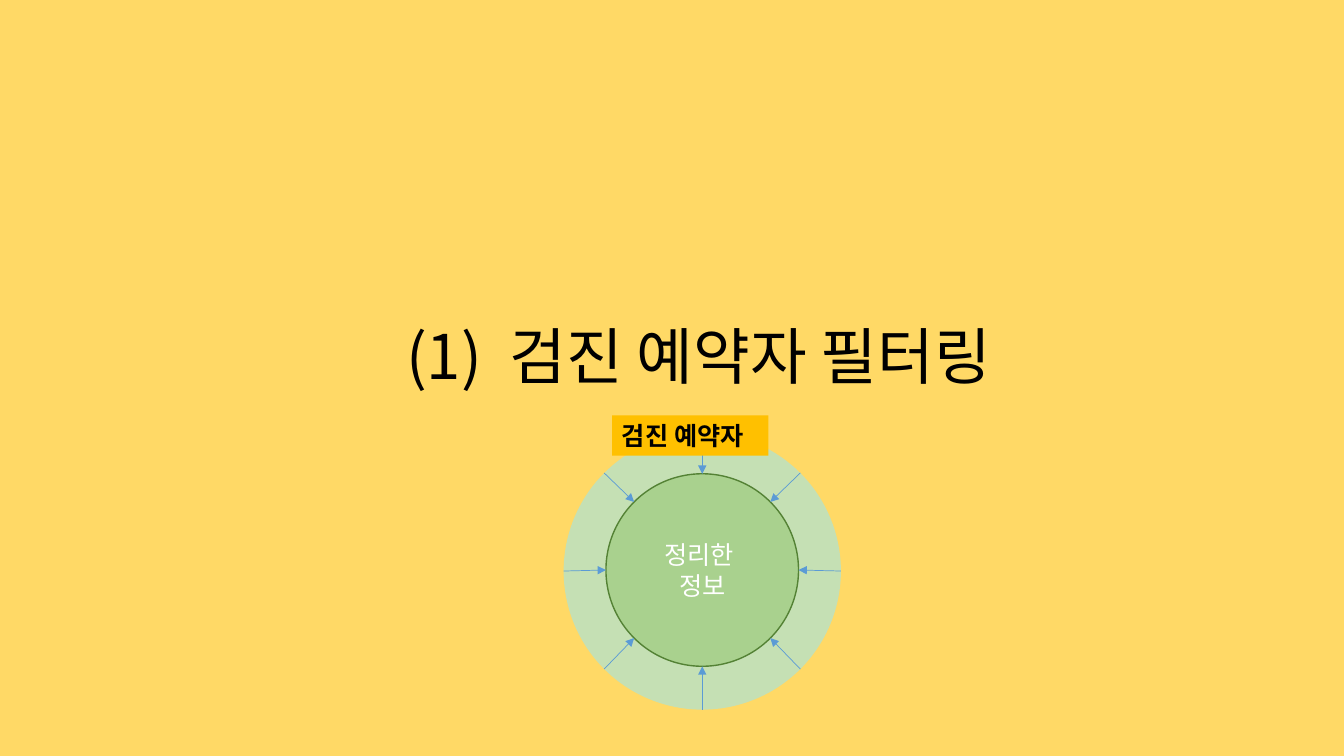
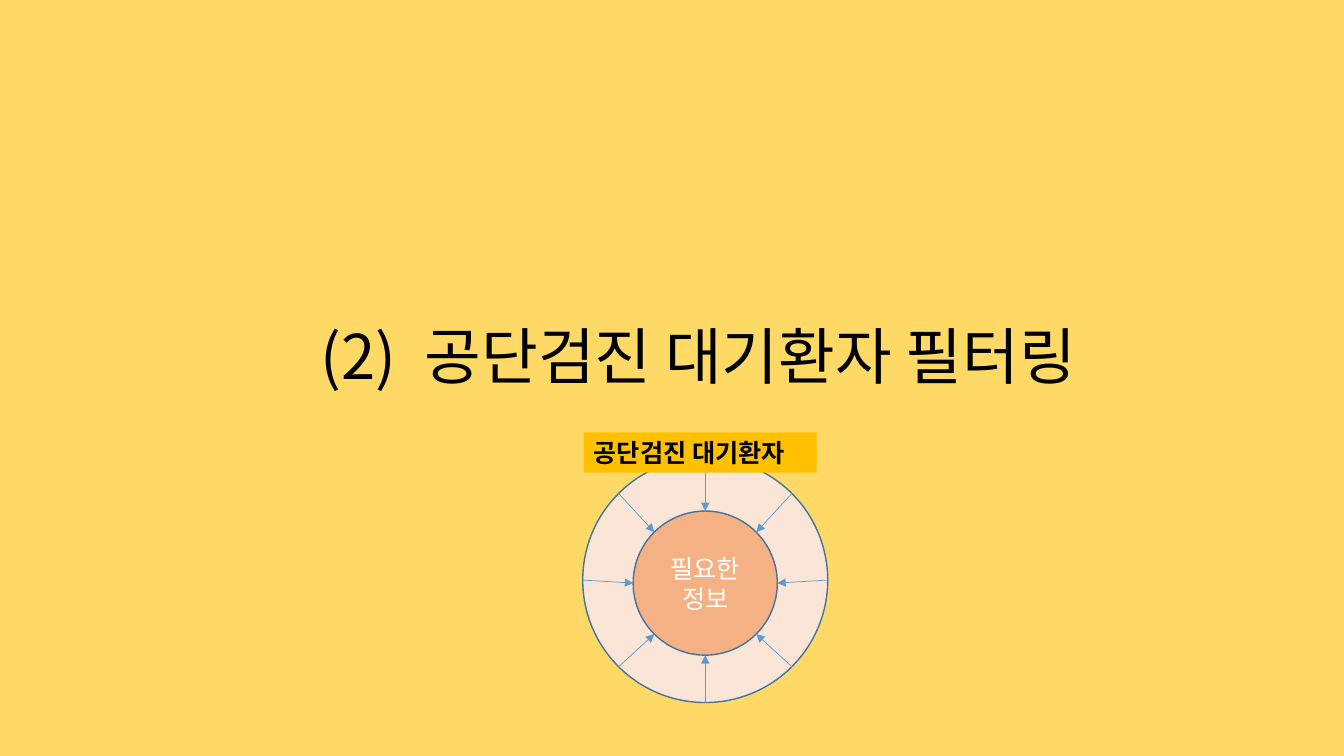
from dataclasses import dataclass
from math import cos, pi, sin

from pptx import Presentation
from pptx.dml.color import RGBColor
from pptx.enum.shapes import MSO_CONNECTOR, MSO_SHAPE
from pptx.enum.text import MSO_ANCHOR, PP_ALIGN
from pptx.oxml.ns import qn
from pptx.util import Inches, Pt
from lxml.etree import SubElement


@dataclass(frozen=True)
class Theme:
    font: str = "Noto Sans CJK KR"
    title_size: int = 44
    body_size: int = 18
    number_gap: int = 10
    background: str = "FFD966"
    label_fill: str = "FFC000"
    arrow: str = "5B9BD5"
    dark_text: str = "000000"
    light_text: str = "FFFFFF"


THEME = Theme()
ARROW_COUNT = 8


@dataclass(frozen=True)
class Circle:
    left: float
    top: float
    diameter: float
    fill: str
    line: str | None = None

    def point(self, angle):
        """Point on the rim, as lengths, at an angle in radians."""
        radius = self.diameter / 2
        return (Inches(self.left + radius + radius * cos(angle)),
                Inches(self.top + radius + radius * sin(angle)))


# Text and shape helpers
def format_runs(paragraph, size, color, bold=False):
    for run in paragraph.runs:
        font = run.font
        font.name, font.size, font.bold = THEME.font, Pt(size), bold
        font.color.rgb = RGBColor.from_string(color)
        SubElement(run.font._element, qn("a:ea"), typeface=THEME.font)


def add_shape(slide, kind, box, fill, line=None):
    shape = slide.shapes.add_shape(kind, *map(Inches, box))
    shape.shadow.inherit = False
    shape.fill.solid()
    shape.fill.fore_color.rgb = RGBColor.from_string(fill)
    if line:
        shape.line.color.rgb = RGBColor.from_string(line)
        shape.line.width = Pt(1)
    else:
        shape.line.fill.background()
    return shape


def add_title(slide, number, wording):
    title = slide.shapes.title
    title.left, title.top = Inches(1.18), Inches(2.84)
    title.width, title.height = Inches(11.5), Inches(1.45)
    title.text_frame.vertical_anchor = MSO_ANCHOR.MIDDLE
    paragraph = title.text_frame.paragraphs[0]
    paragraph.alignment = PP_ALIGN.CENTER
    paragraph.line_spacing = 0.9
    for part in (number, " ", wording):
        paragraph.add_run().text = part
    format_runs(paragraph, THEME.title_size, THEME.dark_text)
    # Widen the gap after the number
    paragraph.runs[1].font._element.set("spc", str(THEME.number_gap * 100))


def add_circle(slide, circle, text=""):
    box = (circle.left, circle.top, circle.diameter, circle.diameter)
    shape = add_shape(slide, MSO_SHAPE.OVAL, box, circle.fill, circle.line)
    if text:
        shape.text_frame.text = text
        shape.text_frame.vertical_anchor = MSO_ANCHOR.MIDDLE
        for paragraph in shape.text_frame.paragraphs:
            paragraph.alignment = PP_ALIGN.CENTER
            format_runs(paragraph, THEME.body_size, THEME.light_text)


def add_arrow(slide, start, end):
    arrow = slide.shapes.add_connector(MSO_CONNECTOR.STRAIGHT, *start, *end)
    arrow.line.color.rgb = RGBColor.from_string(THEME.arrow)
    arrow.line.width = Pt(0.5)
    SubElement(arrow.line._get_or_add_ln(), qn("a:tailEnd"), type="triangle")
    SubElement(arrow._element.spPr, qn("a:effectLst"))


def add_label(slide, text, left, top, width):
    label = add_shape(slide, MSO_SHAPE.RECTANGLE, (left, top, width, 0.4),
                      THEME.label_fill)
    label.text_frame.text = text
    label.text_frame.word_wrap = True
    label.text_frame.vertical_anchor = MSO_ANCHOR.MIDDLE
    paragraph = label.text_frame.paragraphs[0]
    paragraph.alignment = PP_ALIGN.LEFT
    format_runs(paragraph, THEME.body_size, THEME.dark_text, bold=True)


def add_filter_diagram(slide, outer, inner, core_text):
    """Two rings, with arrows pointing from the outer rim to the inner one."""
    add_circle(slide, outer)
    add_circle(slide, inner, core_text)
    for step in range(ARROW_COUNT):
        angle = 2 * pi * step / ARROW_COUNT
        add_arrow(slide, outer.point(angle), inner.point(angle))


def add_filter_slide(presentation, number, wording, outer, inner, core_text,
                     label):
    slide = presentation.slides.add_slide(presentation.slide_layouts[5])
    add_title(slide, number, wording)
    add_filter_diagram(slide, outer, inner, core_text)
    add_label(slide, *label)


def main():
    presentation = Presentation()
    presentation.slide_width, presentation.slide_height = Inches(13.33), Inches(7.5)

    # Shared background
    background = presentation.slide_master.background.fill
    background.solid()
    background.fore_color.rgb = RGBColor.from_string(THEME.background)

    # Checkup bookings
    add_filter_slide(
        presentation, "(1)", "검진 예약자 필터링",
        Circle(5.59, 4.29, 2.75, "C5E0B4"),
        Circle(6.01, 4.7, 1.91, "A9D18E", "548235"),
        "정리한 \n정보", ("검진 예약자", 6.07, 4.12, 1.55))

    # Waiting patients
    add_filter_slide(
        presentation, "(2)", "공단검진 대기환자 필터링",
        Circle(5.78, 4.54, 2.43, "FBE5D6", "43739E"),
        Circle(6.28, 5.07, 1.43, "F4B183", "43739E"),
        "필요한\n정보", ("공단검진 대기환자", 5.79, 4.29, 2.31))

    presentation.save("out.pptx")


if __name__ == "__main__":
    main()
